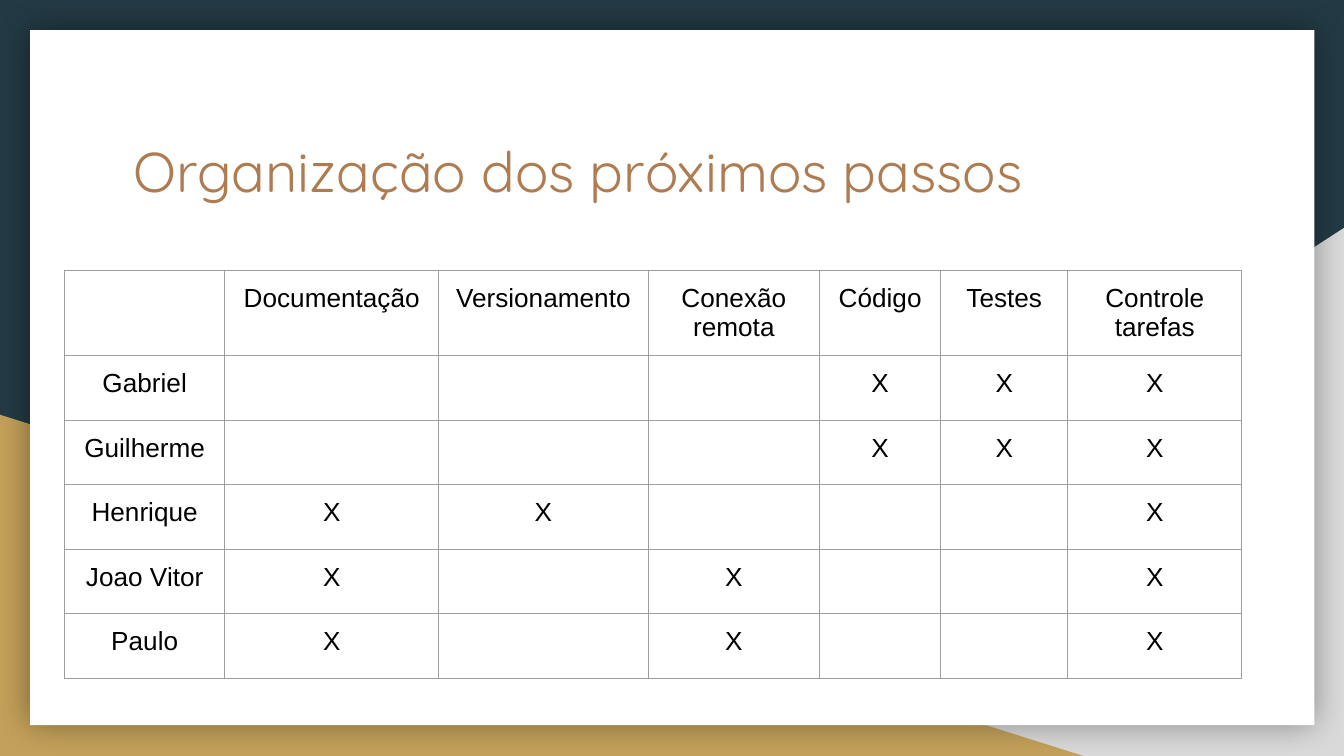
from lxml import etree
from pptx import Presentation
from pptx import util as u
from pptx.dml import color
from pptx.enum import shapes, text
from pptx.oxml import ns

COLORS = {
    "background": "233A44",
    "grey": "D9D9D9",
    "gold": "C4A15A",
    "panel": "FFFFFF",
    "title": "AF7B51",
    "text": "000000",
    "border": "9E9E9E",
}
TASKS = ["Documentação", "Versionamento", "Conexão remota", "Código", "Testes", "Controle tarefas"]
ASSIGNMENTS = {
    "Gabriel": {"Código", "Testes", "Controle tarefas"},
    "Guilherme": {"Código", "Testes", "Controle tarefas"},
    "Henrique": {"Documentação", "Versionamento", "Controle tarefas"},
    "Joao Vitor": {"Documentação", "Conexão remota", "Controle tarefas"},
    "Paulo": {"Documentação", "Conexão remota", "Controle tarefas"},
}
COLUMN_WIDTHS = [3.03, 4.04, 3.96, 3.24, 2.29, 2.4, 3.29]
HEADER_HEIGHT, PERSON_HEIGHT = 1.61, 1.22


class SlideStyle:
    """Style of the deck and the slide being built."""

    def __init__(self, slide):
        self.slide = slide
        self.inset = u.Cm(0.25)
        self.paint(slide.background.fill, "background")

    def paint(self, fill, name):
        fill.solid()
        fill.fore_color.rgb = color.RGBColor.from_string(COLORS[name])

    def format_text(self, frame, font, size, name, align):
        for paragraph in frame.paragraphs:
            paragraph.alignment = align
            for run in paragraph.runs:
                run.font.name = font
                run.font.size = u.Pt(size)
                run.font.color.rgb = color.RGBColor.from_string(COLORS[name])

    def decoration(self, preset, name, box, flip=False):
        piece = self.slide.shapes.add_shape(preset, *map(u.Cm, box))
        piece.shadow.inherit = False
        self.paint(piece.fill, name)
        piece.line.fill.background()
        if flip:
            piece.element.spPr.find(ns.qn("a:xfrm")).set("flipH", "1")
        return piece

    def glow(self, piece, blur, opacity):
        effects = piece.element.spPr.find(ns.qn("a:effectLst"))
        shadow = etree.SubElement(effects, ns.qn("a:outerShdw"), blurRad=str(u.Pt(blur)),
                                  dist="0", dir="0", algn="ctr", rotWithShape="0")
        tint = etree.SubElement(shadow, ns.qn("a:srgbClr"), val=COLORS["text"])
        etree.SubElement(tint, ns.qn("a:alpha"), val=str(opacity * 1000))

    def title(self, wording, box):
        heading = self.slide.shapes.title
        heading.left, heading.top, heading.width, heading.height = map(u.Cm, box)
        frame = heading.text_frame
        frame.text = wording
        frame.word_wrap = True
        frame.auto_size = text.MSO_AUTO_SIZE.NONE
        frame.vertical_anchor = text.MSO_ANCHOR.TOP
        frame.margin_left = frame.margin_right = self.inset
        frame.margin_top = frame.margin_bottom = self.inset
        self.format_text(frame, "Quicksand", 30, "title", text.PP_ALIGN.LEFT)
        self.slide.shapes.element.append(heading.element)

    def border(self, cell):
        properties = cell._tc.get_or_add_tcPr()
        for position, side in enumerate(("lnL", "lnR", "lnT", "lnB")):
            edge = etree.Element(ns.qn(f"a:{side}"), w=str(u.Pt(0.75)))
            fill = etree.SubElement(edge, ns.qn("a:solidFill"))
            etree.SubElement(fill, ns.qn("a:srgbClr"), val=COLORS["border"])
            properties.insert(position, edge)

    def fill_cell(self, cell, wording):
        cell.text = wording
        cell.margin_left = cell.margin_right = self.inset
        cell.margin_top = cell.margin_bottom = self.inset if wording else 0
        cell.fill.background()
        self.format_text(cell.text_frame, "Arial", 14, "text", text.PP_ALIGN.CENTER)
        self.border(cell)

    def table(self, rows, widths, heights, left, top):
        grid = self.slide.shapes.add_table(
            len(rows), len(widths), u.Cm(left), u.Cm(top), u.Cm(sum(widths)), u.Cm(sum(heights))
        ).table
        grid.first_row = grid.horz_banding = False
        for column, width in zip(grid.columns, widths):
            column.width = u.Cm(width)
        for row, height, wordings in zip(grid.rows, heights, rows):
            row.height = u.Cm(height)
            for cell, wording in zip(row.cells, wordings):
                self.fill_cell(cell, wording)


def main():
    deck = Presentation()
    deck.slide_width, deck.slide_height = u.Cm(25.4), u.Cm(14.29)
    style = SlideStyle(deck.slides.add_slide(deck.slide_layouts[5]))

    triangle = shapes.MSO_SHAPE.RIGHT_TRIANGLE
    style.decoration(triangle, "grey", (9.96, 4.31, 15.44, 9.98), flip=True)
    style.decoration(triangle, "gold", (0, 7.84, 20.48, 6.45))
    panel = style.decoration(shapes.MSO_SHAPE.RECTANGLE, "panel", (0.57, 0.57, 24.27, 13.14))
    style.glow(panel, blur=18, opacity=40)

    style.title("Organização dos próximos passos", (2.28, 2.34, 20.85, 2.64))

    rows = [["", *TASKS]]
    for person, assigned in ASSIGNMENTS.items():
        rows.append([person, *("X" if task in assigned else "" for task in TASKS)])
    heights = [HEADER_HEIGHT] + [PERSON_HEIGHT] * len(ASSIGNMENTS)
    style.table(rows, COLUMN_WIDTHS, heights, left=1.22, top=5.11)

    deck.save("out.pptx")


if __name__ == "__main__":
    main()
